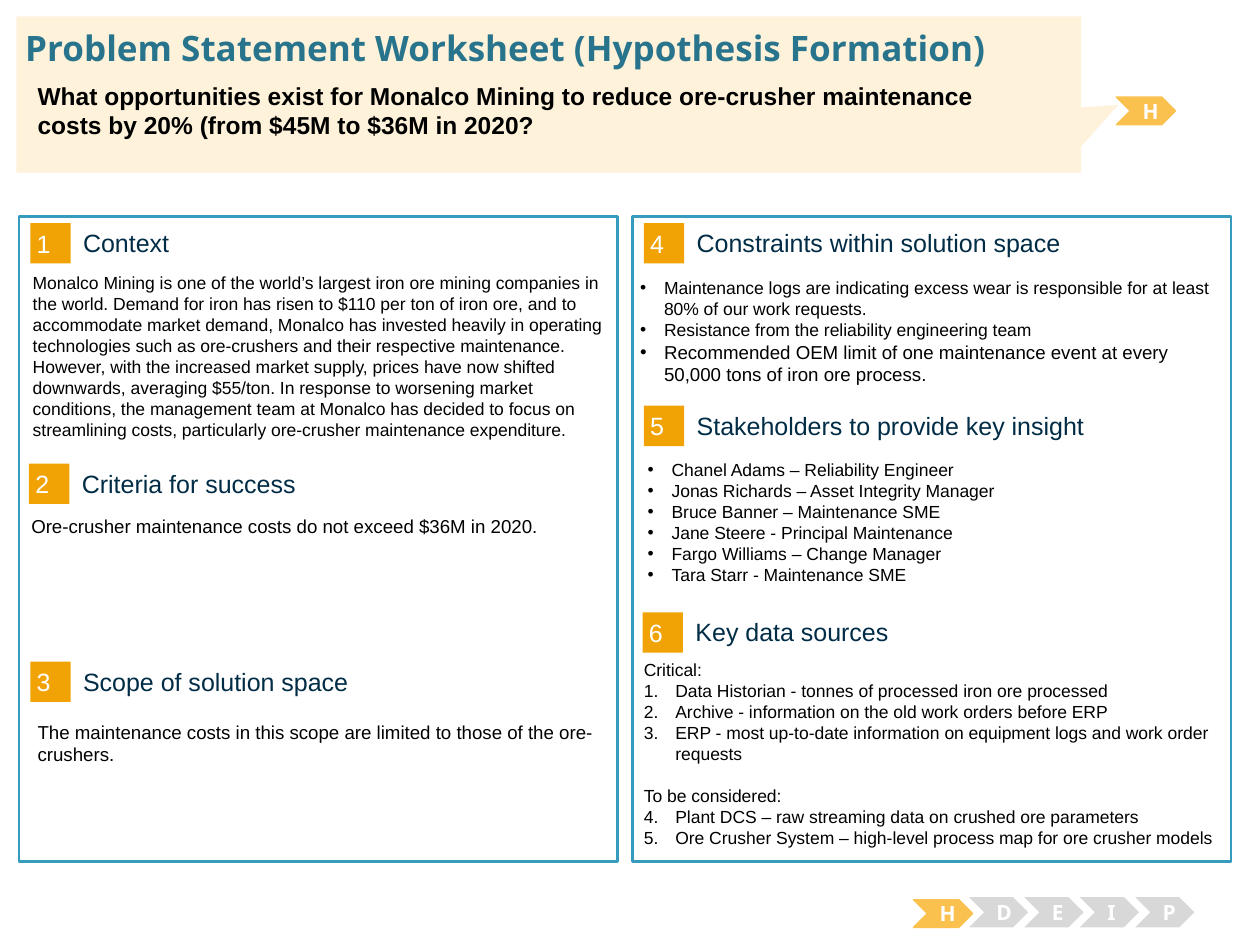
from lxml import etree
from pptx import Presentation
from pptx import util as u
from pptx.dml.color import RGBColor
from pptx.enum import shapes, text
from pptx.oxml import ns

THEME = dict(
    body_font="Arial", title_font="Noto Sans",
    black="000000", white="FFFFFF", navy="002C46", teal="29748D", frame="379BBD",
    orange="F1A205", amber="FBC14E", grey="D8D8D8", cream="FEF2DA",
    title=20, question=14, heading=14.3, step=12, body=10, large=10.7,
)
WIDTH, HEIGHT = 10, 7.5
PAD = (0.1, 0.05, 0.1, 0.05)
SMALL, LARGE = THEME["body"], THEME["large"]

TITLE = "Problem Statement Worksheet (Hypothesis Formation)"
QUESTION = ("What opportunities exist for Monalco Mining to reduce ore-crusher maintenance "
            "costs by 20% (from $45M to $36M in 2020?")
CONTEXT = (
    "Monalco Mining is one of the world’s largest iron ore mining companies in the world. "
    "Demand for iron has risen to $110 per ton of iron ore, and to accommodate market demand, "
    "Monalco has invested heavily in operating technologies such as ore-crushers and their "
    "respective maintenance. However, with the increased market supply, prices have now shifted "
    "downwards, averaging $55/ton. In response to worsening market conditions, the management "
    "team at Monalco has decided to focus on streamlining costs, particularly ore-crusher "
    "maintenance expenditure."
)
CONSTRAINTS = [
    ("Maintenance logs are indicating excess wear is responsible for at least 80% of our "
     "work requests.", dict(bullet="•")),
    ("Resistance from the reliability engineering team", dict(bullet="•")),
    ("Recommended OEM limit of one maintenance event at every 50,000 tons of iron ore process.",
     dict(bullet="•", size=LARGE)),
]
STAKEHOLDERS = [(person, dict(bullet="•")) for person in (
    "Chanel Adams – Reliability Engineer",
    "Jonas Richards – Asset Integrity Manager",
    "Bruce Banner – Maintenance SME",
    "Jane Steere - Principal Maintenance",
    "Fargo Williams – Change Manager",
    "Tara Starr - Maintenance SME",
)]
SOURCES = [
    ("Critical:", {}),
    ("Data Historian - tonnes of processed iron ore processed", dict(number=1)),
    ("Archive - information on the old work orders before ERP", dict(number=1)),
    ("ERP - most up-to-date information on equipment logs and work order requests",
     dict(number=1)),
    ("To be considered:", dict(before=12)),
    ("Plant DCS – raw streaming data on crushed ore parameters", dict(number=4)),
    ("Ore Crusher System – high-level process map for ore crusher models", dict(number=4)),
]
SECTIONS = [
    ("Context", (0.24, 1.77), (0.16, 2.11, 1.36), CONTEXT, SMALL),
    ("Criteria for success", (0.23, 3.68), (0.15, 4.04, 1.1),
     "Ore-crusher maintenance costs do not exceed $36M in 2020.", LARGE),
    ("Scope of solution space", (0.24, 5.25), (0.2, 5.67, 0.82),
     "The maintenance costs in this scope are limited to those of the ore-crushers.", LARGE),
    ("Constraints within solution space", (5.11, 1.77), (4.98, 2.15, 1.18), CONSTRAINTS, SMALL),
    ("Stakeholders to provide key insight", (5.11, 3.22), (5.04, 3.59, 1.18), STAKEHOLDERS, SMALL),
    ("Key data sources", (5.1, 4.86), (5.01, 5.18, 1.67), SOURCES, SMALL),
]
STEPS = "HDEIP"

deck = Presentation()
deck.slide_width, deck.slide_height = u.Inches(WIDTH), u.Inches(HEIGHT)
slide = deck.slides.add_slide(deck.slide_layouts.get_by_name("Comparison"))
heading_holder, *body_holders = list(slide.placeholders)


def rgb(name):
    return RGBColor.from_string(THEME[name])


def mark(paragraph, bullet, number):
    props = paragraph._p.get_or_add_pPr()
    indent = u.Inches(0.25 if number else 0.19 if bullet else 0)
    props.set("marL", str(indent))
    props.set("indent", str(-indent))
    if bullet:
        etree.SubElement(props, ns.qn("a:buFont"), typeface="Arial")
        etree.SubElement(props, ns.qn("a:buChar"), char=bullet)
    elif number:
        etree.SubElement(props, ns.qn("a:buFont"), typeface="+mj-lt")
        etree.SubElement(props, ns.qn("a:buAutoNum"), type="arabicPeriod", startAt=str(number))
    else:
        etree.SubElement(props, ns.qn("a:buNone"))


def write(holder, content, size=SMALL, font="body_font", color="black", bold=False,
          align=text.PP_ALIGN.LEFT, anchor=text.MSO_ANCHOR.TOP, pad=PAD):
    frame = holder.text_frame
    frame.word_wrap, frame.auto_size = True, text.MSO_AUTO_SIZE.NONE
    frame.vertical_anchor = anchor
    frame.margin_left, frame.margin_top, frame.margin_right, frame.margin_bottom = map(u.Inches, pad)
    lines = [(content, {})] if isinstance(content, str) else content
    for i, (words, style) in enumerate(lines):
        paragraph = frame.add_paragraph() if i else frame.paragraphs[0]
        paragraph.alignment = align
        paragraph.space_before = u.Pt(style.get("before", 0))
        mark(paragraph, style.get("bullet"), style.get("number"))
        run = paragraph.add_run()
        run.text = words
        run.font.size, run.font.bold = u.Pt(style.get("size", size)), bold
        run.font.name, run.font.color.rgb = THEME[font], rgb(color)


def draw(kind, box, fill, line=None, weight=0.75):
    part = slide.shapes.add_shape(kind, *map(u.Inches, box))
    part.shadow.inherit = False
    part.fill.solid()
    part.fill.fore_color.rgb = rgb(fill)
    if line:
        part.line.color.rgb, part.line.width = rgb(line), u.Pt(weight)
    else:
        part.line.fill.background()
    return part


def label(box):
    return slide.shapes.add_textbox(*map(u.Inches, box))


def place(holder, box):
    holder.left, holder.top, holder.width, holder.height = map(u.Inches, box)
    slide.shapes._spTree.append(holder._element)
    return holder


def step(letter, left, top, active):
    fill, height = ("amber", 0.22) if active else ("grey", 0.24)
    chevron = draw(shapes.MSO_SHAPE.CHEVRON, (left, top, 0.47, height), fill,
                   line="amber" if active else None)
    write(chevron, letter, size=THEME["step"], font="title_font", color="white", bold=True,
          align=text.PP_ALIGN.CENTER, anchor=text.MSO_ANCHOR.MIDDLE)


for left in (0.15, 5.02):
    draw(shapes.MSO_SHAPE.RECTANGLE, (left, 1.72, 4.75, 5.12), "white", "frame", 1.5)

for number, (name, (left, top), (body_left, body_top, body_height), body, size) in enumerate(SECTIONS, 1):
    badge = draw(shapes.MSO_SHAPE.RECTANGLE, (left, top, 0.32, 0.32), "orange")
    write(badge, str(number), size=THEME["heading"], color="white",
          anchor=text.MSO_ANCHOR.MIDDLE, pad=(0.05,) * 4)
    write(label((left + 0.42, top + 0.03, 3.93, 0.25)), name, size=THEME["heading"],
          color="navy", anchor=text.MSO_ANCHOR.MIDDLE, pad=(0,) * 4)
    box = (body_left, body_top, 4.73, body_height)
    uses_holder = body is CONTEXT or isinstance(body, list)
    write(place(body_holders.pop(0), box) if uses_holder else label(box), body, size=size)

for i, letter in enumerate(STEPS):
    step(letter, 7.25 + 0.44 * i, 7.12 if i else 7.14, active=i == 0)
step(STEPS[0], 8.86, 0.77, active=True)

callout = draw(shapes.MSO_SHAPE.RECTANGULAR_CALLOUT, (0.13, 0.13, 8.45, 1.24), "cream")
callout.adjustments[0], callout.adjustments[1] = 0.535, 0.066
write(place(heading_holder, (0.2, 0.21, 9.62, 0.34)), TITLE, size=THEME["title"],
      font="title_font", color="teal", bold=True, anchor=text.MSO_ANCHOR.MIDDLE, pad=(0,) * 4)
write(label((0.2, 0.59, 8.13, 0.54)), QUESTION, size=THEME["question"], bold=True)

deck.save("out.pptx")
